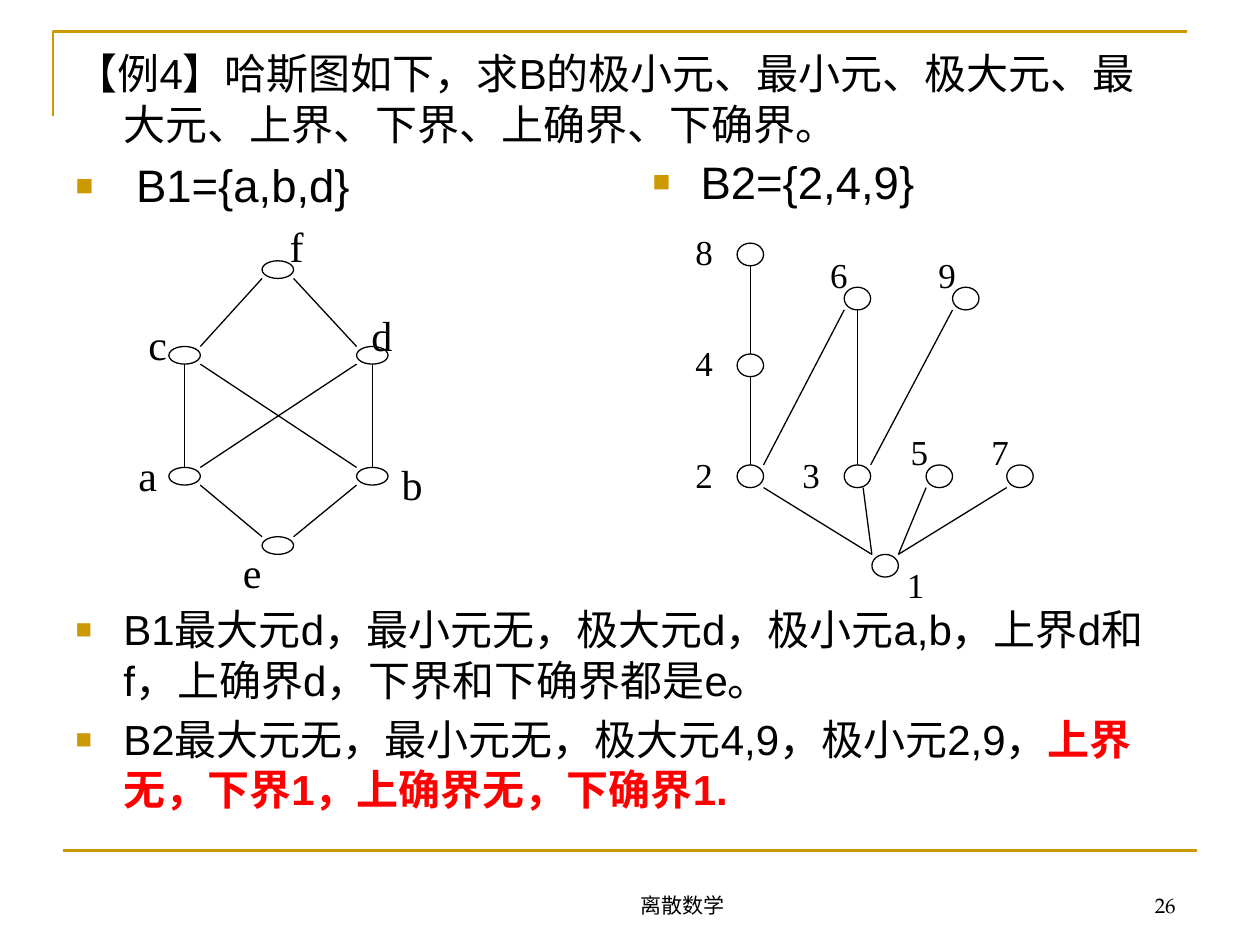
"""Build a slide on extremal elements and bounds in two Hasse diagrams."""
from lxml.etree import SubElement
from pptx import Presentation
from pptx.dml.color import RGBColor
from pptx.enum.shapes import MSO_CONNECTOR, MSO_SHAPE
from pptx.enum.text import MSO_ANCHOR, MSO_AUTO_SIZE, PP_ALIGN
from pptx.oxml.ns import qn
from pptx.util import Emu, Pt

PX = 9144
THEME = {
    "ink": "000000", "paper": "FFFFFF", "gold": "CC9900", "red": "FF0000",
    "sans": "Arial", "serif": "Times New Roman", "foot": "TeX Gyre Pagella",
    "text": 24, "set": 26, "small": 12, "rule": 1.5, "edge": 0.75,
}

MAIN = [
    {"runs": [("【例4】哈斯图如下，求B的极小元、最小元、极大元、最大元、"
               "上界、下界、上确界、下确界。", "ink")],
     "size": "text", "before": 5, "bullet": False},
    {"runs": [(" B1={a,b,d}", "ink")], "size": "set", "before": 5, "bullet": True},
    {"runs": [("B1最大元d，最小元无，极大元d，极小元a,b，上界d和f，"
               "上确界d，下界和下确界都是e。", "ink")],
     "size": "text", "before": 224, "bullet": True},
    {"runs": [("B2最大元无，最小元无，极大元4,9，极小元2,9，", "ink"),
              ("上界无，下界1，上确界无，下确界1.", "red")],
     "size": "text", "before": 5, "bullet": True},
]
SIDE = [{"runs": [("B2={2,4,9}", "ink")], "size": "set", "before": 5, "bullet": True}]
BODIES = [((50, 33, 883, 562), MAIN), ((508, 117, 442, 495), SIDE)]

DIAGRAMS = [
    {"node": (25, 14), "label": (50, 41), "size": 24,
     "nodes": {"f": (208, 207), "c": (134, 275), "d": (283, 275),
               "a": (134, 371), "b": (283, 371), "e": (208, 426)},
     "labels": {"a": (100, 349), "e": (183, 426), "b": (309, 356),
                "d": (285, 238), "c": (108, 245), "f": (220, 167)},
     "edges": ["fc", "fd", "ca", "db", "ae", "be", "cb", "da"], "shift": {}},
    {"node": (21, 18), "label": (64, 53), "size": 20,
     "nodes": {"1": (692, 440), "2": (585, 369), "3": (670, 369),
               "5": (735, 369), "7": (799, 369), "4": (585, 281),
               "8": (585, 193), "6": (670, 228), "9": (756, 228)},
     "labels": {"1": (710, 439), "2": (542, 352), "3": (627, 352),
                "5": (713, 334), "7": (777, 334), "4": (542, 263),
                "8": (542, 175), "6": (649, 193), "9": (735, 193)},
     "edges": ["21", "31", "51", "71", "42", "84", "62", "63", "93"],
     "shift": {"31": -6}},
]
FOOTERS = [("离散数学", (383, 683, 317, 50), PP_ALIGN.CENTER),
           ("26", (833, 683, 110, 50), PP_ALIGN.RIGHT)]


def px(*values):
    return [Emu(round(v * PX)) for v in values]


def color(name):
    return RGBColor.from_string(THEME[name])


def style(font, face, size, ink="ink"):
    font.name, font.size = THEME[face], Pt(size)
    font.color.rgb = color(ink)


def set_bullet(p, shown):
    pPr = p._p.get_or_add_pPr()
    indent = px(38)[0]
    pPr.set("marL", str(indent))
    pPr.set("indent", str(-indent))
    if not shown:
        SubElement(pPr, qn("a:buNone"))
        return
    clr = SubElement(pPr, qn("a:buClr"))
    SubElement(clr, qn("a:srgbClr")).set("val", THEME["gold"])
    SubElement(pPr, qn("a:buSzPct")).set("val", "65000")
    SubElement(pPr, qn("a:buFont")).set("typeface", THEME["sans"])
    SubElement(pPr, qn("a:buChar")).set("char", "■")


def fill_body(sp, box, items):
    sp.left, sp.top, sp.width, sp.height = px(*box)
    tf = sp.text_frame
    tf.auto_size, tf.word_wrap = MSO_AUTO_SIZE.NONE, True
    tf.vertical_anchor = MSO_ANCHOR.TOP
    for i, item in enumerate(items):
        p = tf.add_paragraph() if i else tf.paragraphs[0]
        p.space_before = Pt(item["before"])
        set_bullet(p, item["bullet"])
        for text, ink in item["runs"]:
            r = p.add_run()
            r.text = text
            style(r.font, "sans", THEME[item["size"]], ink)
            r.font.bold = ink == "red"


def add_line(shapes, start, end, ink, width):
    line = shapes.add_connector(MSO_CONNECTOR.STRAIGHT, *px(*start, *end))
    line.line.color.rgb, line.line.width = color(ink), Pt(THEME[width])
    SubElement(line._element.spPr, qn("a:effectLst"))


def add_label(shapes, text, box, face, size, align, anchor):
    tf = shapes.add_textbox(*px(*box)).text_frame
    tf.word_wrap, tf.vertical_anchor = True, anchor
    p = tf.paragraphs[0]
    p.alignment = align
    r = p.add_run()
    r.text = text
    style(r.font, face, size)
    return tf


def edge_ends(upper, lower, size):
    (ux, uy), (lx, ly), (w, h) = upper, lower, size
    side = (lx > ux) - (lx < ux)
    return (ux + w * (1 + side) / 2, uy + h), (lx + w * (1 - side) / 2, ly)


def add_diagram(s, d):
    shapes = s.shapes.add_group_shape().shapes
    for at in d["nodes"].values():
        sp = shapes.add_shape(MSO_SHAPE.OVAL, *px(*at, *d["node"]))
        sp.shadow.inherit = False
        sp.fill.solid()
        sp.fill.fore_color.rgb = color("paper")
        sp.line.color.rgb, sp.line.width = color("ink"), Pt(THEME["edge"])
    for edge in d["edges"]:
        (x, y), end = edge_ends(*(d["nodes"][n] for n in edge), d["node"])
        add_line(shapes, (x + d["shift"].get(edge, 0), y), end, "ink", "edge")
    for name, at in d["labels"].items():
        tf = add_label(shapes, name, (*at, *d["label"]), "serif", d["size"],
                       PP_ALIGN.JUSTIFY, MSO_ANCHOR.TOP)
        tf.margin_top = px(8)[0]


def add_frame(s):
    fb = s.shapes.build_freeform(*px(42, 92))
    fb.add_line_segments([px(42, 25), px(942, 25)], close=False)
    sp = fb.convert_to_shape()
    sp.shadow.inherit = False
    sp.fill.background()
    sp.line.color.rgb, sp.line.width = color("gold"), Pt(THEME["rule"])
    add_line(s.shapes, (50, 675), (950, 675), "gold", "rule")


def main():
    prs = Presentation()
    prs.slide_width, prs.slide_height = px(1000, 750)
    s = prs.slides.add_slide(prs.slide_layouts[3])
    title, *bodies = s.placeholders
    title._element.getparent().remove(title._element)
    add_frame(s)
    for text, box, align in FOOTERS:
        add_label(s.shapes, text, box, "foot", THEME["small"], align, MSO_ANCHOR.BOTTOM)
    for sp, (box, items) in zip(bodies, BODIES):
        fill_body(sp, box, items)
    for d in DIAGRAMS:
        add_diagram(s, d)
    prs.save("out.pptx")


if __name__ == "__main__":
    main()
